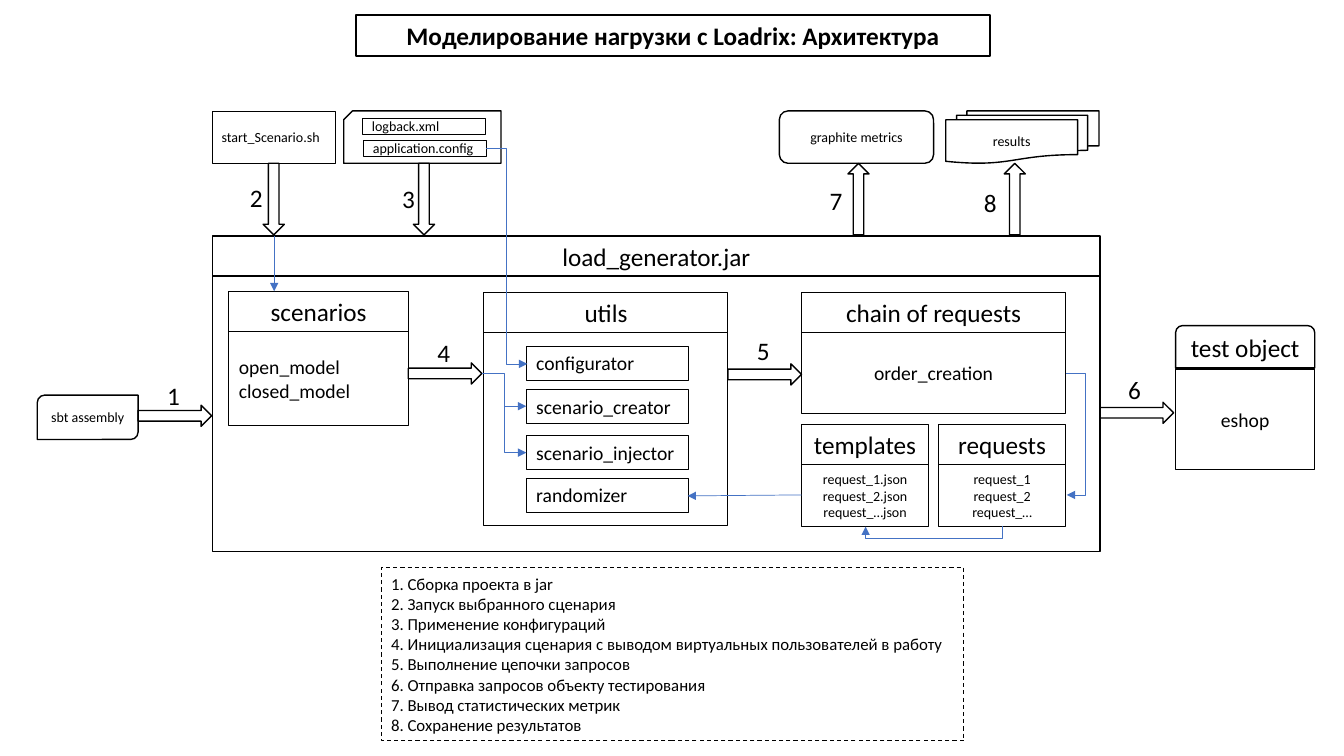
from lxml import etree
from pptx import Presentation
from pptx.dml.color import RGBColor
from pptx.enum.dml import MSO_LINE as Dash
from pptx.enum.shapes import MSO_CONNECTOR as Wire, MSO_SHAPE as Kind
from pptx.enum.text import MSO_ANCHOR as Anchor, PP_ALIGN as Align
from pptx.oxml.ns import qn
from pptx.util import Inches, Pt

BLACK, WHITE, BLUE = "000000", "FFFFFF", "4472C4"
FRAME = {"word_wrap": True, "vertical_anchor": Anchor.MIDDLE}
LEGEND = """1. Сборка проекта в jar
2. Запуск выбранного сценария
3. Применение конфигураций
4. Инициализация сценария с выводом виртуальных пользователей в работу
5. Выполнение цепочки запросов
6. Отправка запросов объекту тестирования
7. Вывод статистических метрик
8. Сохранение результатов"""


def paint(part, tone):
    """Give a fill, line or font a solid colour."""
    color = part.color if hasattr(part, "color") else part.fore_color
    color.rgb = RGBColor.from_string(tone)


def inside(box, x, y, w, h):
    """Shift a box by the corner of its region."""
    return box[0] + x, box[1] + y, w, h


def write(shape, text, size, align=Align.CENTER, bold=False):
    """Fill a shape with formatted lines of text."""
    frame = shape.text_frame
    for key, value in FRAME.items():
        setattr(frame, key, value)
    frame.text = text
    font = {"name": "Calibri", "size": Pt(size), "bold": bold}
    for para in frame.paragraphs:
        para.alignment = align
        for run in para.runs:
            for key, value in font.items():
                setattr(run.font, key, value)
            paint(run.font, BLACK)


def draw(box, text="", size=18, kind=Kind.RECTANGLE, width=1.0,
         align=Align.CENTER, fill=None):
    """Add an outlined shape with optional text."""
    shape = slide.shapes.add_shape(kind, *map(Inches, box))
    shape.shadow.inherit = False
    if fill:
        shape.fill.solid()
        paint(shape.fill, fill)
    else:
        shape.fill.background()
    paint(shape.line, BLACK)
    shape.line.width = Pt(width)
    if text:
        write(shape, text, size, align)
    return shape


def step(num, kind, box, spot):
    """Add a block arrow and its step number."""
    draw(box, kind=kind)
    label = slide.shapes.add_textbox(*map(Inches, (*spot, 0.3, 0.4)))
    write(label, str(num), 18, Align.LEFT)


def link(start, end, bend=None, turn=0):
    """Add a thin blue arrow, bent at a share of its width."""
    kind = Wire.STRAIGHT if bend is None else Wire.ELBOW
    wire = slide.shapes.add_connector(kind, *map(Inches, (*start, *end)))
    paint(wire.line, BLUE)
    wire.line.width = Pt(0.5)
    props = wire._element.spPr
    if bend is not None:
        guides = props.find(qn("a:prstGeom")).get_or_add_avLst()
        etree.SubElement(guides, qn("a:gd"), name="adj1",
                         fmla=f"val {round(bend * 100000)}")
    if turn:
        props.find(qn("a:xfrm")).set("rot", str(turn * 60000))
    etree.SubElement(props.find(qn("a:ln")), qn("a:tailEnd"), type="triangle")
    etree.SubElement(props, qn("a:effectLst"))


def panel(box, head, body="", size=14, align=Align.CENTER):
    """Add a box with a heading strip above its body."""
    x, y, w, h = box
    draw((x, y, w, 0.4), head, width=0.75)
    draw((x, y + 0.4, w, h - 0.4), body, size, width=0.75, align=align)


def title(box, text):
    """Place and outline the slide title."""
    shape = slide.shapes.title
    for key, value in zip(("left", "top", "width", "height"), box):
        setattr(shape, key, Inches(value))
    paint(shape.line, BLACK)
    shape.line.width = Pt(1.5)
    write(shape, text, 18, bold=True)


def inputs(box):
    """Draw the start script and the config files."""
    x, y, w, h = box
    draw((x, y, 1.22, h), "start_Scenario.sh", 10, width=0.25, align=Align.LEFT)
    card = draw(inside(box, 1.31, 0, 1.56, h), kind=Kind.SNIP_1_RECTANGLE,
                fill=WHITE)
    card._element.spPr.find(qn("a:xfrm")).set("flipH", "1")
    for row, name in enumerate(("logback.xml", "application.config")):
        draw(inside(box, 1.49 + row * 0.01, 0.07 + row * 0.22, 1.22, 0.16),
             name, 10, width=0.25, align=Align.LEFT)
    step(2, Kind.DOWN_ARROW, inside(box, 0.51, h, 0.21, 0.71), (x + 0.28, y + 0.66))
    step(3, Kind.DOWN_ARROW, inside(box, 2, h, 0.21, 0.71), (x + 1.79, y + 0.67))


def outputs(box):
    """Draw the metrics and the result files."""
    x, y, w, h = box
    draw((x, y, 1.53, h), "graphite metrics", 10, Kind.ROUNDED_RECTANGLE, fill=WHITE)
    draw(inside(box, 1.65, 0, 1.52, h), "results", 10,
         Kind.FLOWCHART_MULTIDOCUMENT, fill=WHITE)
    step(7, Kind.UP_ARROW, inside(box, 0.68, h, 0.21, 0.71), (x + 0.4, y + 0.69))
    step(8, Kind.UP_ARROW, inside(box, 2.23, h, 0.21, 0.71), (x + 1.93, y + 0.71))


def tools(box):
    """Draw the utils panel with its four helpers."""
    panel(box, "utils")
    names = "configurator", "scenario_creator", "scenario_injector", "randomizer"
    for name, y in zip(names, (0.53, 0.96, 1.42, 1.84)):
        draw(inside(box, 0.42, y, 1.61, 0.34), name, 14, width=0.25,
             align=Align.LEFT)


def jar(box):
    """Draw the load generator with its panels and steps."""
    x, y, w, h = box
    draw((x, y, w, 0.4), "load_generator.jar")
    draw((x, y + 0.4, w, h - 0.4))
    panel(inside(box, 0.16, 0.55, 1.78, 1.33), "scenarios",
          "open_model\nclosed_model", align=Align.LEFT)
    tools(inside(box, 2.69, 0.56, 2.42, 2.31))
    panel(inside(box, 5.84, 0.56, 2.62, 1.2), "chain of requests", "order_creation")
    for dx, name, end in ((5.84, "templates", "json"), (7.2, "requests", "")):
        dot = "." if end else ""
        rows = f"request_1{dot}{end}\nrequest_2{dot}{end}\nrequest_…{end}"
        panel(inside(box, dx, 1.87, 1.26, 1.01), name, rows, 10)
    step(4, Kind.RIGHT_ARROW, inside(box, 1.94, 1.26, 0.73, 0.21), (x + 2.13, y + 0.96))
    step(5, Kind.RIGHT_ARROW, inside(box, 5.11, 1.27, 0.73, 0.21), (x + 5.3, y + 0.94))


def build(box):
    """Draw the assembly step."""
    x, y, w, h = box
    draw(box, "sbt assembly", 10, Kind.ROUND_2_DIAG_RECTANGLE)
    step(1, Kind.RIGHT_ARROW, inside(box, w, 0.1, 0.73, 0.21), (x + 1.19, y - 0.2))


def target(box):
    """Draw the tested system and the arrow to it."""
    x, y, w, h = box
    draw((x, y, w, 0.42), "test object", kind=Kind.ROUND_2_SAME_RECTANGLE)
    draw((x, y + 0.43, w, h - 0.43), "eshop", 14)
    step(6, Kind.RIGHT_ARROW, inside(box, -0.75, 0.76, 0.73, 0.21),
         (x - 0.57, y + 0.43))


def legend(box):
    """Draw the dashed list of steps."""
    draw(box, LEGEND, 12, width=0.75, align=Align.LEFT).line.dash_style = Dash.DASH


def links(box):
    """Draw the thin arrows, measured from the generator's corner."""
    for start, end, *form in (
            ((0.61, 0), (0.61, 0.55)),
            ((2.71, -0.87), (3.12, 1.27), 0.5),
            ((2.67, 1.36), (3.11, 1.69), 0.5),
            ((2.89, 1.66), (3.11, 2.15), 0),
            ((8.46, 1.36), (8.47, 2.57), 20),
            ((7.15, 2.2), (7.16, 3.56), 12.4, 90),
            ((5.84, 2.57), (4.71, 2.58))):
        link(inside(box, *start, 0, 0)[:2], inside(box, *end, 0, 0)[:2], *form)


deck = Presentation()
deck.slide_width, deck.slide_height = Inches(13.33), Inches(7.5)
slide = deck.slides.add_slide(deck.slide_layouts[5])
JAR = (2.11, 2.34, 8.8, 3.13)
title((3.53, 0.15, 6.29, 0.41), "Моделирование нагрузки с Loadrix: Архитектура")
jar(JAR)
inputs((2.1, 1.1, 2.87, 0.52))
outputs((7.73, 1.1, 3.17, 0.52))
build((0.37, 3.92, 1, 0.44))
target((11.66, 3.23, 1.38, 1.43))
legend((3.78, 5.63, 5.78, 1.72))
links(JAR)
deck.save("out.pptx")
